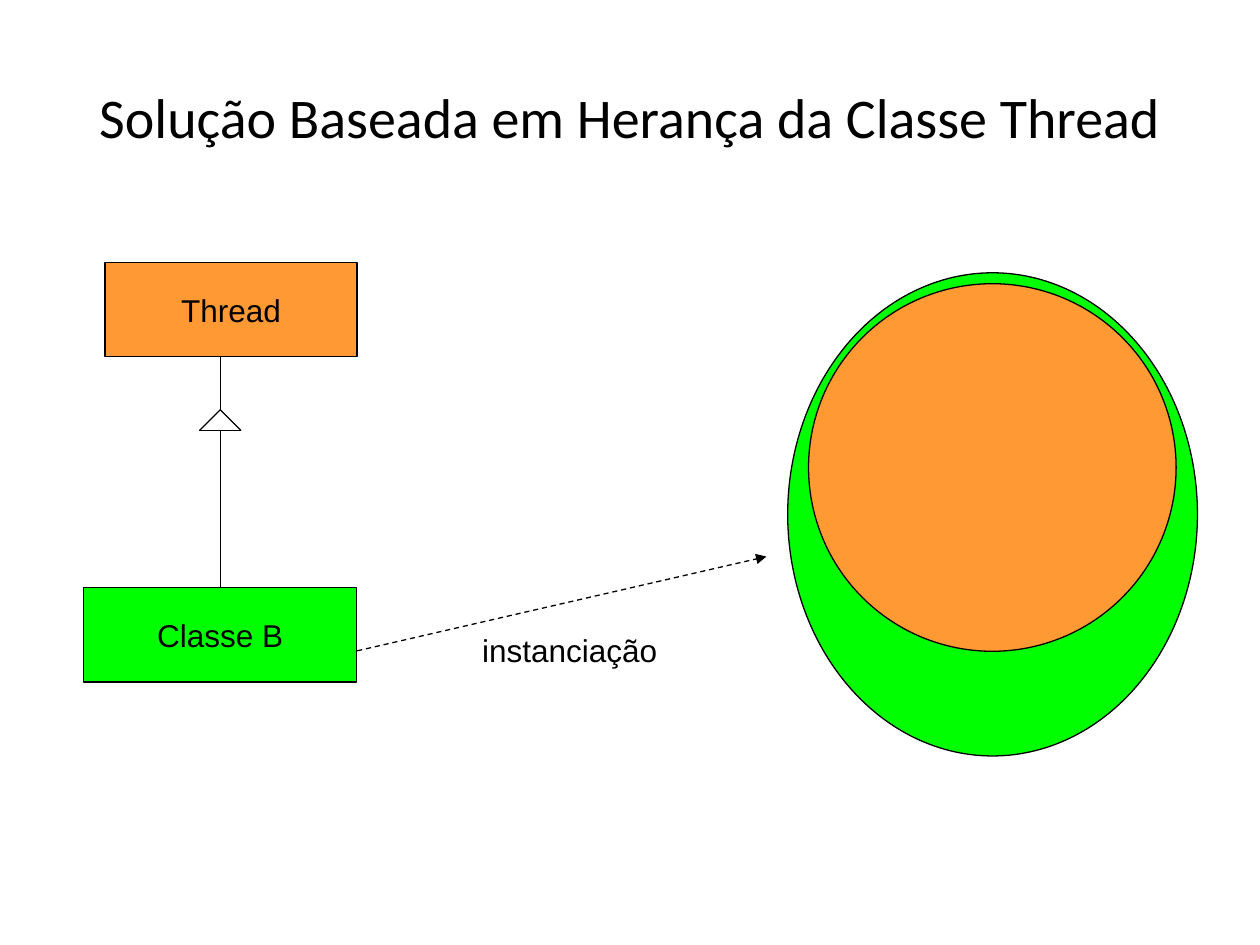
from lxml.etree import SubElement
from pptx import Presentation
from pptx.dml.color import RGBColor
from pptx.enum.dml import MSO_LINE
from pptx.enum.shapes import MSO_CONNECTOR, MSO_SHAPE
from pptx.enum.text import MSO_ANCHOR, MSO_AUTO_SIZE, PP_ALIGN
from pptx.oxml.ns import qn
from pptx.util import Cm, Pt

BLACK = RGBColor(0x00, 0x00, 0x00)
ORANGE = RGBColor(0xFF, 0x99, 0x33)
GREEN = RGBColor(0x00, 0xFF, 0x00)
LINE_WIDTH = Pt(0.75)


def write_text(frame, text, size=18, font="Arial", align=PP_ALIGN.CENTER):
    para = frame.paragraphs[0]
    para.alignment = align
    span = para.add_run()
    span.text = text
    span.font.size = Pt(size)
    span.font.name = font
    span.font.color.rgb = BLACK


def set_title(page, text):
    title = page.shapes.title
    title.left, title.top = Cm(1.27), Cm(0.76)
    title.width, title.height = Cm(22.86), Cm(3.18)
    title.text_frame.vertical_anchor = MSO_ANCHOR.MIDDLE
    title.text_frame.auto_size = MSO_AUTO_SIZE.NONE
    write_text(title.text_frame, text, 32, "Calibri")


def add_figure(page, kind, left, top, width, height, color):
    figure = page.shapes.add_shape(kind, Cm(left), Cm(top), Cm(width), Cm(height))
    figure.shadow.inherit = False
    figure.fill.solid()
    figure.fill.fore_color.rgb = color
    figure.line.color.rgb = BLACK
    figure.line.width = LINE_WIDTH
    return figure


def add_class_box(page, name, left, top, width, color):
    box = add_figure(page, MSO_SHAPE.RECTANGLE, left, top, width, 1.9, color)
    box.text_frame.word_wrap = False
    box.text_frame.vertical_anchor = MSO_ANCHOR.MIDDLE
    write_text(box.text_frame, name)
    return box


def add_line(page, start, end):
    (x1, y1), (x2, y2) = start, end
    line = page.shapes.add_connector(
        MSO_CONNECTOR.STRAIGHT, Cm(x1), Cm(y1), Cm(x2), Cm(y2))
    line.line.color.rgb = BLACK
    line.line.width = LINE_WIDTH
    SubElement(line._element.spPr, qn("a:effectLst"))
    return line


def add_dashed_arrow(page, start, end):
    arrow = add_line(page, start, end)
    arrow.line.dash_style = MSO_LINE.DASH
    SubElement(arrow.line._get_or_add_ln(), qn("a:tailEnd"), type="triangle")


def add_label(page, text, left, top, width, height):
    label = page.shapes.add_textbox(Cm(left), Cm(top), Cm(width), Cm(height))
    label.text_frame.word_wrap = False
    label.text_frame.auto_size = MSO_AUTO_SIZE.SHAPE_TO_FIT_TEXT
    write_text(label.text_frame, text, align=PP_ALIGN.LEFT)


def add_inheritance(page, subclass, parent_bottom):
    """Open triangle pointing to the parent class, with its stem."""
    axis, tip, base, half = 4.44, 8.26, 8.68, 0.42
    apex, left, right = (axis, tip), (axis - half, base), (axis + half, base)
    for start, end in ((apex, left), (apex, right), (right, left)):
        add_line(page, start, end)
    add_line(page, apex, (axis, parent_bottom))
    stem = add_line(page, (axis, base), (axis, 11.85))
    stem.end_connect(subclass, 0)


def main():
    deck = Presentation()
    deck.slide_width, deck.slide_height = Cm(25.4), Cm(19.05)
    page = deck.slides.add_slide(deck.slide_layouts[5])
    set_title(page, "Solução Baseada em Herança da Classe Thread")

    # Class diagram
    add_class_box(page, "Thread", 2.12, 5.29, 5.08, ORANGE)
    subclass = add_class_box(page, "Classe B", 1.69, 11.85, 5.5, GREEN)
    add_inheritance(page, subclass, parent_bottom=7.19)

    # Object holding its inherited part
    add_figure(page, MSO_SHAPE.OVAL, 15.88, 5.5, 8.26, 9.74, GREEN)
    add_figure(page, MSO_SHAPE.OVAL, 16.3, 5.72, 7.41, 7.41, ORANGE)

    # Instantiation
    add_dashed_arrow(page, (7.2, 13.12), (15.45, 11.22))
    add_label(page, "instanciação", 9.47, 12.6, 4.04, 1.02)

    deck.save("out.pptx")


if __name__ == "__main__":
    main()
